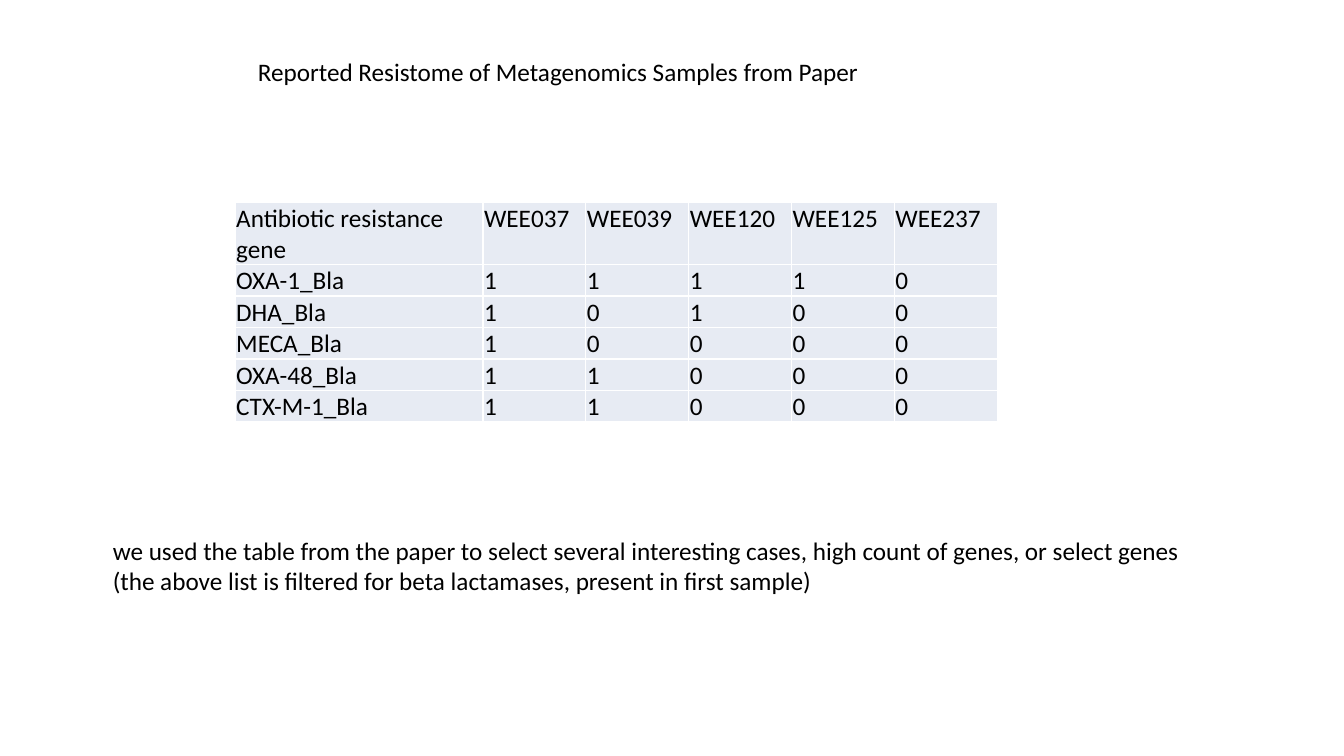
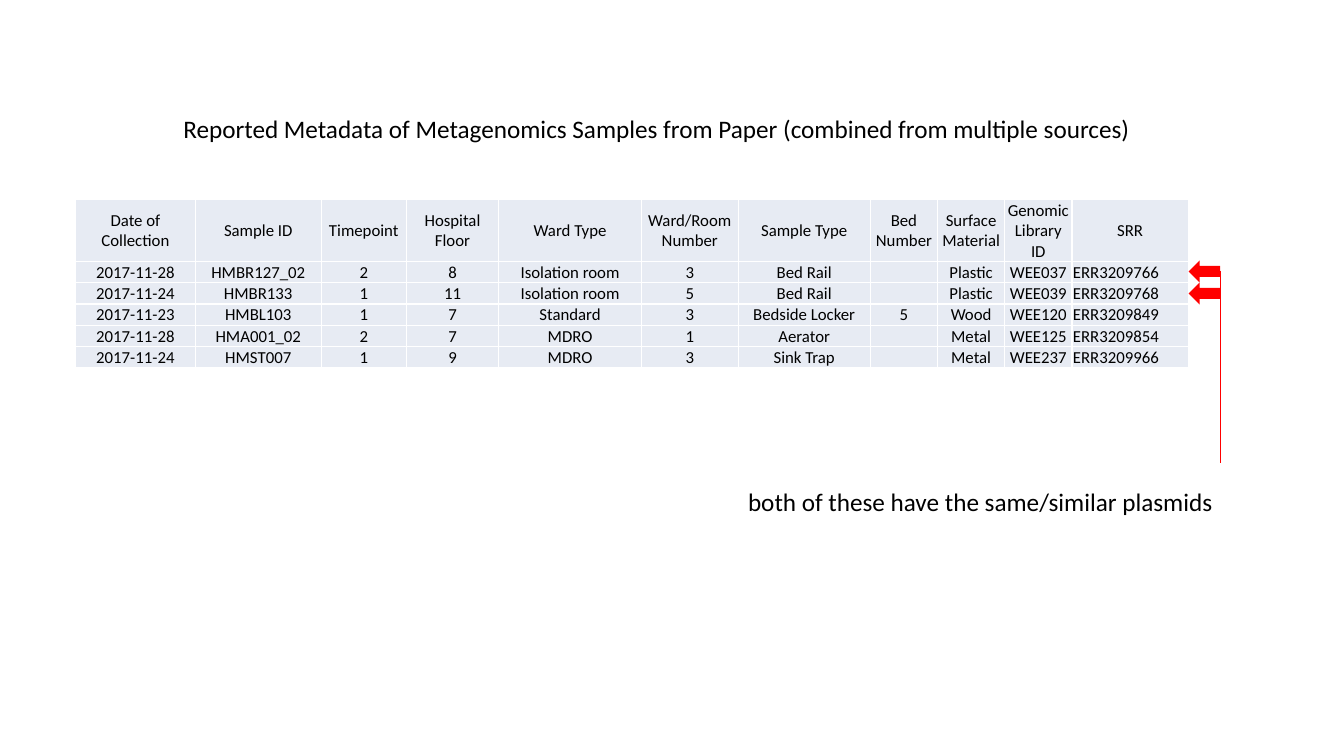
from lxml.etree import SubElement
from pptx import Presentation
from pptx.dml.color import RGBColor
from pptx.enum.shapes import MSO_CONNECTOR, MSO_SHAPE
from pptx.enum.text import MSO_ANCHOR as ANCHOR, MSO_AUTO_SIZE as AUTO, PP_ALIGN as ALIGN
from pptx.oxml.ns import qn
from pptx.util import Emu, Pt

FONT = "Calibri"
BLACK, WHITE, RED, CELL = "000000", "FFFFFF", "FF0000", "E7EBF3"
BODY_SIZE = 18
TITLE_ONLY = 5

GENES = [
    ["Antibiotic resistance gene", "WEE037", "WEE039", "WEE120", "WEE125", "WEE237"],
    ["OXA-1_Bla", "1", "1", "1", "1", "0"],
    ["DHA_Bla", "1", "0", "1", "0", "0"],
    ["MECA_Bla", "1", "0", "0", "0", "0"],
    ["OXA-48_Bla", "1", "1", "0", "0", "0"],
    ["CTX-M-1_Bla", "1", "1", "0", "0", "0"],
]

METADATA = [
    ["Date of Collection", "Sample ID", "Timepoint", "Hospital Floor", "Ward Type",
     "Ward/Room Number", "Sample Type", "Bed Number", "Surface Material",
     "Genomic Library ID", "SRR"],
    ["2017-11-28", "HMBR127_02", "2", "8", "Isolation room", "3", "Bed Rail", "",
     "Plastic", "WEE037", "ERR3209766"],
    ["2017-11-24", "HMBR133", "1", "11", "Isolation room", "5", "Bed Rail", "",
     "Plastic", "WEE039", "ERR3209768"],
    ["2017-11-23", "HMBL103", "1", "7", "Standard", "3", "Bedside Locker", "5",
     "Wood", "WEE120", "ERR3209849"],
    ["2017-11-28", "HMA001_02", "2", "7", "MDRO", "1", "Aerator", "",
     "Metal", "WEE125", "ERR3209854"],
    ["2017-11-24", "HMST007", "1", "9", "MDRO", "3", "Sink Trap", "",
     "Metal", "WEE237", "ERR3209966"],
]


def px(n):
    return Emu(n * 9525)


def rgb(color):
    return RGBColor.from_string(color)


def format_runs(tf, size, align=ALIGN.LEFT):
    for p in tf.paragraphs:
        p.alignment = align
        for r in p.runs:
            r.font.name = FONT
            r.font.size = Pt(size)
            r.font.color.rgb = rgb(BLACK)


def set_text(sp, text, wrap):
    tf = sp.text_frame
    tf.text = text
    tf.word_wrap = wrap
    tf.auto_size = AUTO.SHAPE_TO_FIT_TEXT
    tf.vertical_anchor = ANCHOR.TOP
    format_runs(tf, BODY_SIZE)


def add_titled_slide(prs, text, x, y, w, h):
    s = prs.slides.add_slide(prs.slide_layouts[TITLE_ONLY])
    title = s.shapes.title
    title.left, title.top, title.width, title.height = map(px, (x, y, w, h))
    set_text(title, text, wrap=False)
    return s


def add_note(s, text, x, y, w, h, wrap):
    set_text(s.shapes.add_textbox(*map(px, (x, y, w, h))), text, wrap)


def set_borders(cell):
    tcPr = cell._tc.get_or_add_tcPr()
    for side in ("a:lnL", "a:lnR", "a:lnT", "a:lnB"):
        ln = SubElement(tcPr, qn(side), w=str(Pt(1)))
        fill = SubElement(ln, qn("a:solidFill"))
        SubElement(fill, qn("a:srgbClr"), val=WHITE)


def format_cell(cell, text, size, align, anchor):
    cell.margin_left = cell.margin_right = cell.margin_top = px(1)
    cell.margin_bottom = 0
    cell.vertical_anchor = anchor
    set_borders(cell)
    cell.fill.solid()
    cell.fill.fore_color.rgb = rgb(CELL)
    cell.text_frame.text = text
    format_runs(cell.text_frame, size, align)
    if not text:
        p = cell.text_frame.paragraphs[0]
        SubElement(p._p, qn("a:endParaRPr"), sz=str(size * 100))


def add_grid(s, rows, x, y, widths, heights, size, style):
    frame = s.shapes.add_table(len(rows), len(widths),
                               *map(px, (x, y, sum(widths), sum(heights))))
    table = frame.table
    table.first_row = table.horz_banding = False
    for column, w in zip(table.columns, widths):
        column.width = px(w)
    for row, h in zip(table.rows, heights):
        row.height = px(h)
    for i, values in enumerate(rows):
        for j, text in enumerate(values):
            format_cell(table.cell(i, j), text, size, *style(i, j))


def gene_style(i, j):
    return ALIGN.LEFT, ANCHOR.TOP


def metadata_style(i, j):
    library, srr = 9, 10
    align = ALIGN.LEFT if i and j == srr else ALIGN.CENTER
    anchor = ANCHOR.MIDDLE if i == 0 or j == library else ANCHOR.BOTTOM
    return align, anchor


def add_left_pointer(s, x, y, w, h):
    sp = s.shapes.add_shape(MSO_SHAPE.RIGHT_ARROW, *map(px, (x, y, w, h)))
    sp.rotation = 180
    sp.shadow.inherit = False
    sp.fill.solid()
    sp.fill.fore_color.rgb = rgb(RED)
    sp.line.fill.background()


def add_line(s, x1, y1, x2, y2):
    line = s.shapes.add_connector(MSO_CONNECTOR.STRAIGHT, *map(px, (x1, y1, x2, y2)))
    line.line.color.rgb = rgb(RED)
    line.line.width = Pt(0.5)
    SubElement(line._element.spPr, qn("a:effectLst"))


def build_resistome(prs):
    s = add_titled_slide(prs, "Reported Resistome of Metagenomics Samples from Paper",
                         236, 49, 596, 38)
    add_note(s, "we used the table from the paper to select several interesting cases, "
                "high count of genes, or select genes\n"
                "(the above list is filtered for beta lactamases, present in first sample)",
             98, 505, 1047, 68, wrap=False)
    add_grid(s, GENES, 224, 193, [236] + [98] * 5, [59] + [30] * 5,
             BODY_SIZE, gene_style)


def build_metadata(prs):
    s = add_titled_slide(prs, "Reported Metadata of Metagenomics Samples from Paper "
                              "(combined from multiple sources)", 165, 103, 932, 38)
    widths = [114, 120, 81, 88, 136, 92, 126, 64, 64, 64, 111]
    left = 72
    add_grid(s, METADATA, left, 190, widths, [59] + [20] * 5, 12, metadata_style)
    right = left + sum(widths)
    for i in range(2):
        add_left_pointer(s, right, 248 + 21 * i, 30, 21)
    add_line(s, right + 30, 258, right + 30, 441)
    add_note(s, "both of these have the same/similar plasmids", 703, 458, 481, 38, wrap=True)


def main():
    prs = Presentation()
    prs.slide_width, prs.slide_height = px(1280), px(720)
    build_resistome(prs)
    build_metadata(prs)
    prs.save("out.pptx")


if __name__ == "__main__":
    main()
